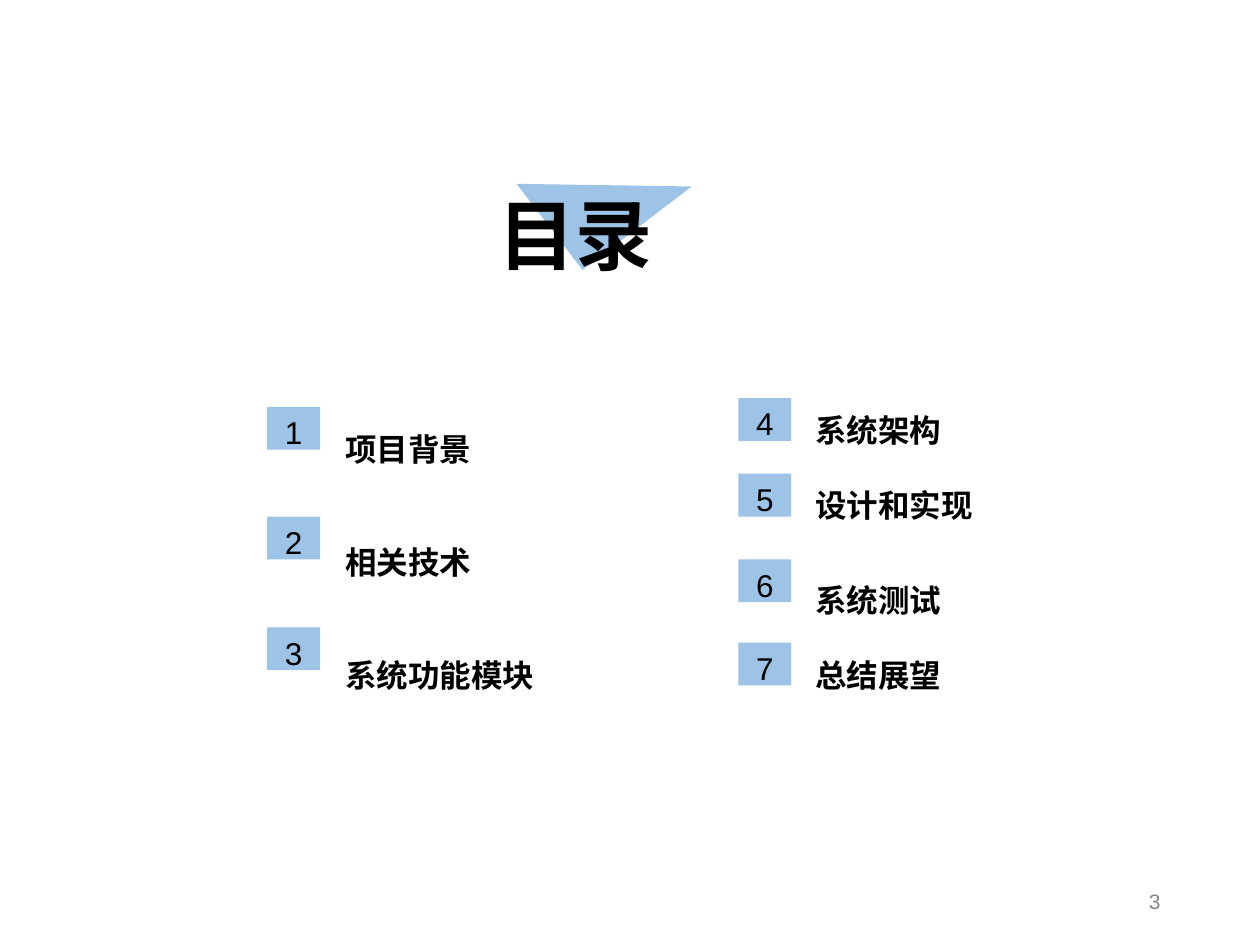
from lxml import etree
from pptx import Presentation
from pptx.dml.color import RGBColor
from pptx.enum import shapes, text
from pptx.oxml.ns import qn
from pptx.util import Inches, Pt

HEADING = "目录"
PAGE_NUMBER = "3"
BLUE, BLACK, GRAY = "9DC3E6", "000000", "898989"
LATIN, CJK = "Arial", "Noto Sans CJK SC"
BADGE_WIDTH, BADGE_HEIGHT = 0.42, 0.34

# Each entry: label, line spacing, top of its number badge
COLUMNS = [
    {"box": (2.64, 2.76, 2.27, 2.83), "badge_left": 2.12,
     "entries": [("项目背景", 3, 3.23), ("相关技术", 3, 4.1),
                 ("系统功能模块", 3, 4.98)]},
    {"box": (6.37, 2.91, 5, 2.68), "badge_left": 5.86,
     "entries": [("系统架构", 2, 3.16), ("设计和实现", 2, 3.76),
                 ("系统测试", 2.5, 4.44), ("总结展望", 2, 5.1)]},
]


def color(value):
    return RGBColor.from_string(value)


def place(shape, left, top, width, height):
    shape.left, shape.top = Inches(left), Inches(top)
    shape.width, shape.height = Inches(width), Inches(height)


def write(shape, lines, size=18, font=LATIN, fill=BLACK, bold=False,
          align=text.PP_ALIGN.LEFT, anchor=text.MSO_ANCHOR.TOP, spacings=None):
    """Fill a shape with one unbulleted paragraph per line."""
    frame = shape.text_frame
    frame.word_wrap = True
    frame.auto_size = text.MSO_AUTO_SIZE.NONE
    frame.vertical_anchor = anchor
    for index, line in enumerate(lines):
        paragraph = frame.paragraphs[0] if index == 0 else frame.add_paragraph()
        paragraph.alignment = align
        paragraph.line_spacing = spacings[index] if spacings else 1.0
        paragraph.space_before = paragraph.space_after = Pt(0)
        properties = paragraph._p.get_or_add_pPr()
        properties.set("marL", "0")
        properties.set("indent", "0")
        etree.SubElement(properties, qn("a:buNone"))
        run = paragraph.add_run()
        run.text = line
        run.font.size, run.font.bold, run.font.name = Pt(size), bold, font
        run.font.color.rgb = color(fill)
        east_asian = etree.SubElement(run._r.get_or_add_rPr(), qn("a:ea"))
        east_asian.set("typeface", font)


def add_blue_shape(slide, kind, *box):
    shape = slide.shapes.add_shape(kind, *map(Inches, box))
    shape.shadow.inherit = False
    shape.fill.solid()
    shape.fill.fore_color.rgb = color(BLUE)
    shape.line.fill.background()
    return shape


def main():
    presentation = Presentation()
    presentation.slide_width, presentation.slide_height = Inches(10), Inches(7.5)
    slide = presentation.slides.add_slide(presentation.slide_layouts[3])
    title, *bodies = slide.placeholders

    triangle = add_blue_shape(slide, shapes.MSO_SHAPE.RIGHT_TRIANGLE,
                              4.25, 1.04, 1.09, 0.86)
    triangle.rotation = 322.6
    title._element.addprevious(triangle._element)

    place(title, 3.17, 1.18, 2.8, 1.45)
    write(title, [HEADING], size=44, font=CJK, bold=True, spacings=[0.9],
          align=text.PP_ALIGN.CENTER, anchor=text.MSO_ANCHOR.MIDDLE)

    number = 1
    for body, column in zip(bodies, COLUMNS):
        labels, spacings, tops = zip(*column["entries"])
        place(body, *column["box"])
        write(body, labels, font=CJK, bold=True, spacings=spacings)
        for top in tops:
            badge = add_blue_shape(slide, shapes.MSO_SHAPE.RECTANGLE,
                                   column["badge_left"], top,
                                   BADGE_WIDTH, BADGE_HEIGHT)
            write(badge, [str(number)], align=text.PP_ALIGN.CENTER)
            number += 1

    page = slide.shapes.add_textbox(*map(Inches, (7.06, 6.95, 2.25, 0.4)))
    write(page, [PAGE_NUMBER], size=12, fill=GRAY,
          align=text.PP_ALIGN.RIGHT, anchor=text.MSO_ANCHOR.MIDDLE)

    presentation.save("out.pptx")


if __name__ == "__main__":
    main()
